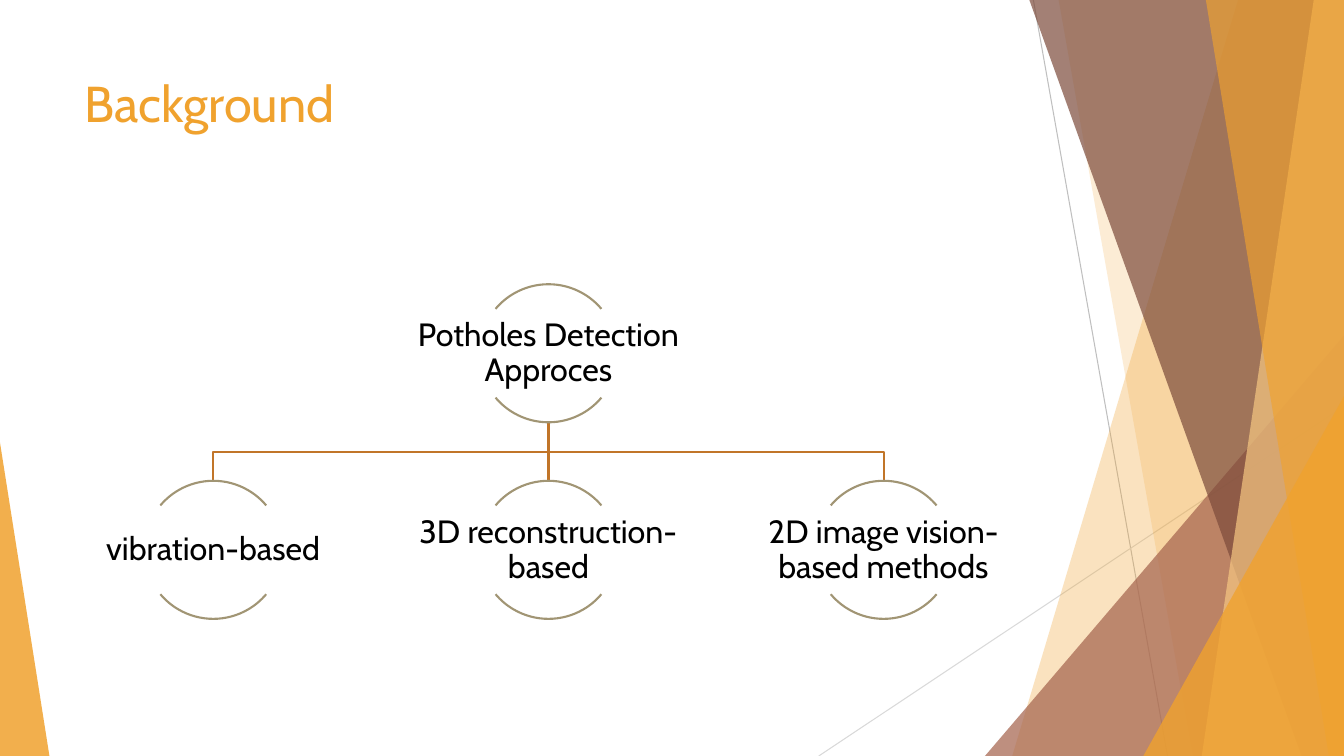
from lxml.etree import SubElement
from pptx import Presentation
from pptx.dml.color import RGBColor
from pptx.enum.shapes import MSO_CONNECTOR, MSO_SHAPE
from pptx.enum.text import MSO_ANCHOR, PP_ALIGN
from pptx.oxml.ns import qn
from pptx.util import Inches, Pt

COLORS = {
    "gold": "F0A22E", "cream": "F6C782", "rust": "A5644E", "brown": "7C4B3B",
    "gray": "BFBFBF", "pale": "D9D9D9", "link": "C17529", "arc": "A19574",
    "black": "000000",
}


class Board:
    font = "Cabin"

    def __init__(self, deck):
        self.wide, self.high = deck.slide_width, deck.slide_height
        self.slide = deck.slides.add_slide(deck.slide_layouts[5])
        self.shapes = self.slide.shapes

    def place(self, x, y):
        return round(self.wide * x / 100), round(self.high * y / 100)

    def box(self, x, y, w, h):
        return *self.place(x, y), *self.place(w, h)

    def color(self, name):
        return RGBColor.from_string(COLORS[name])

    def paint(self, shape, name, alpha):
        shape.shadow.inherit = False
        shape.line.fill.background()
        shape.fill.solid()
        shape.fill.fore_color.rgb = self.color(name)
        tint = shape._element.spPr.find(qn("a:solidFill"))[0]
        SubElement(tint, qn("a:alpha"), val=str(alpha * 1000))

    def stroke(self, shape, name, width):
        shape.line.color.rgb = self.color(name)
        shape.line.width = Pt(width)

    def line(self, start, end, name, width):
        shape = self.shapes.add_connector(
            MSO_CONNECTOR.STRAIGHT, *self.place(*start), *self.place(*end))
        self.stroke(shape, name, width)
        SubElement(shape._element.spPr, qn("a:effectLst"))

    def trace(self, points, close):
        first, *rest = [self.place(*point) for point in points]
        pen = self.shapes.build_freeform(*first)
        pen.add_line_segments(rest, close=close)
        return pen.convert_to_shape()

    def band(self, top, foot, name, alpha):
        points = [(top, 0), (100, 0), (100, 100), (foot, 100)]
        self.paint(self.trace(points, True), name, alpha)

    def wedge(self, x, y, w, peak, name, alpha):
        shape = self.shapes.add_shape(
            MSO_SHAPE.ISOSCELES_TRIANGLE, *self.box(x, y, w, 100 - y))
        shape.adjustments[0] = peak
        self.paint(shape, name, alpha)

    def elbow(self, points):
        shape = self.trace(points, False)
        shape.shadow.inherit = False
        shape.fill.background()
        self.stroke(shape, "link", 1.5)

    def arc(self, x, y, w, h, start, end):
        shape = self.shapes.add_shape(MSO_SHAPE.ARC, *self.box(x, y, w, h))
        shape.adjustments[0] = start * 0.6
        shape.adjustments[1] = end * 0.6
        shape.shadow.inherit = False
        shape.fill.background()
        self.stroke(shape, "arc", 1.5)

    def words(self, frame, text, size, name, align):
        para = frame.paragraphs[0]
        para.alignment = align
        run = para.add_run()
        run.text = text
        run.font.name = self.font
        run.font.size = Pt(size)
        run.font.color.rgb = self.color(name)
        return para

    def title(self, text, x, y, w, h):
        shape = self.shapes.title
        shape.left, shape.top, shape.width, shape.height = self.box(x, y, w, h)
        frame = shape.text_frame
        frame.vertical_anchor = MSO_ANCHOR.TOP
        self.words(frame, text, 36, "gold", PP_ALIGN.LEFT)

    def label(self, text, x, y, w, h):
        frame = self.shapes.add_textbox(*self.box(x, y, w, h)).text_frame
        frame.word_wrap = True
        frame.vertical_anchor = MSO_ANCHOR.MIDDLE
        frame.margin_left = frame.margin_right = Inches(0.02)
        frame.margin_top = frame.margin_bottom = Inches(0.02)
        para = self.words(frame, text, 23, "black", PP_ALIGN.CENTER)
        para.line_spacing = 0.9

    def node(self, text, mid, top):
        for start, end in ((220, 320), (40, 140)):
            self.arc(mid - 5.14, top, 10.28, 18.27, start, end)
        self.label(text, mid - 10.31, top + 3.33, 20.62, 11.73)


def main():
    deck = Presentation()
    deck.slide_width, deck.slide_height = Inches(13.33), Inches(7.5)
    board = Board(deck)

    board.line((76.89, 0), (86.87, 100), "gray", 0.75)
    board.line((100, 53.73), (60.92, 100), "pale", 0.75)
    board.band(92.12, 75.32, "gold", 30)
    board.band(78.77, 88.75, "gold", 20)
    board.wedge(73.29, 44.4, 26.71, 1, "rust", 72)
    board.band(76.59, 96.85, "brown", 70)
    board.band(97.75, 89.42, "cream", 70)
    board.band(89.72, 98.87, "gold", 65)
    board.wedge(85.07, 52.4, 14.93, 1, "gold", 80)
    board.wedge(0, 58.53, 3.68, 0, "gold", 85)

    board.title("Background", 5.55, 8.93, 70.52, 19.2)

    mid, step = 40.81, 24.94
    root, joint, bend, leaf = 37.6, 56, 59.8, 63.6
    for side in (mid + step, mid - step):
        board.elbow([(mid, joint), (mid, bend), (side, bend), (side, leaf)])
    board.line((mid, joint), (mid, leaf), "link", 1.5)

    board.node("Potholes Detection Approces", mid, root)
    kinds = ("vibration-based", "3D reconstruction-based",
             "2D image vision-based methods")
    for place, kind in enumerate(kinds, -1):
        board.node(kind, mid + place * step, leaf)

    deck.save("out.pptx")


if __name__ == "__main__":
    main()
